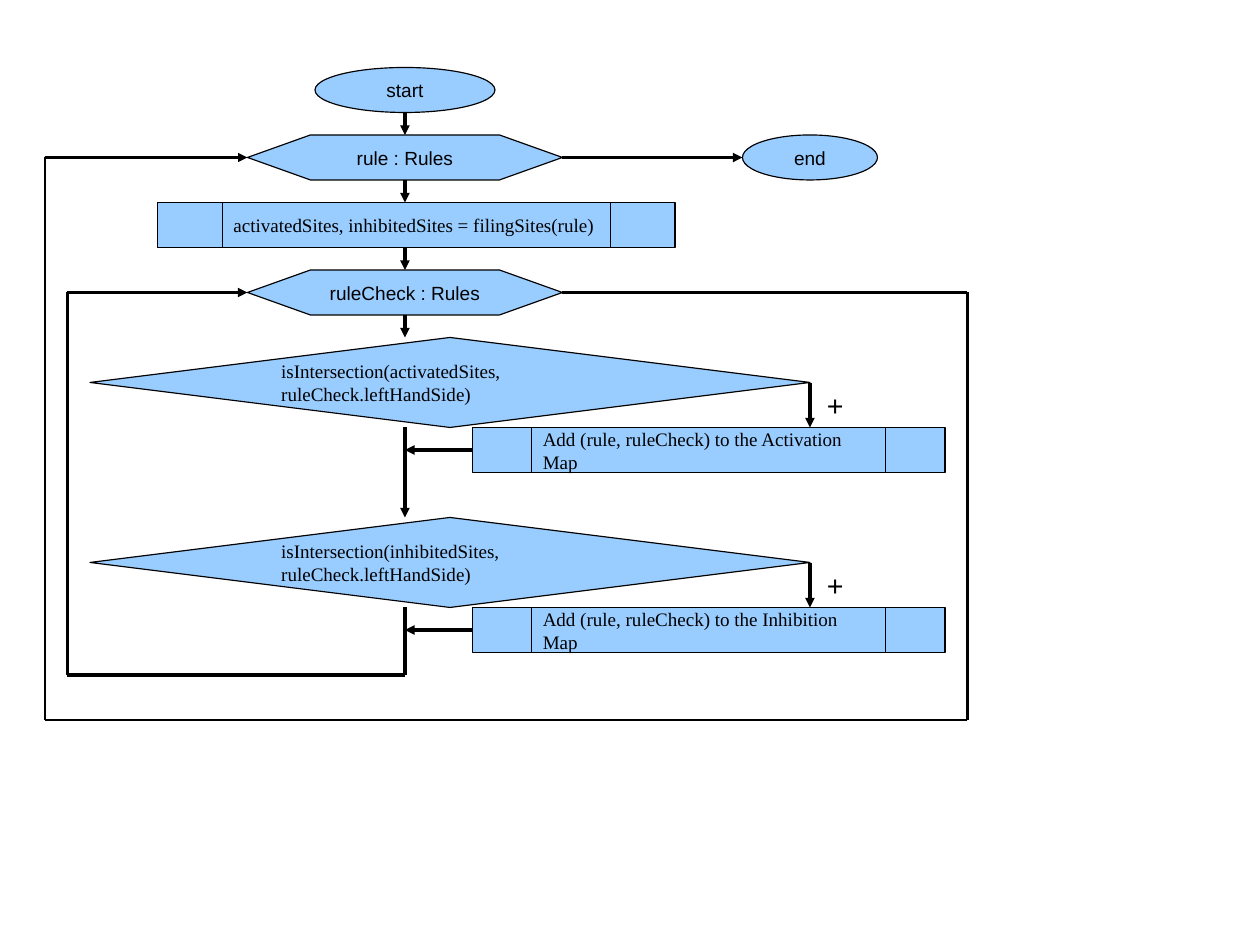
from dataclasses import dataclass
from itertools import pairwise

import lxml.etree
import pptx
import pptx.dml.color
import pptx.enum.shapes
import pptx.enum.text
import pptx.oxml
import pptx.oxml.ns
import pptx.presentation
import pptx.shapes.autoshape
import pptx.slide
import pptx.util

Point = tuple[float, float]
Sites = dict[Point, tuple[pptx.shapes.autoshape.Shape, int]]
Kind = pptx.enum.shapes.MSO_SHAPE
Align = pptx.enum.text.PP_ALIGN


@dataclass(frozen=True)
class Theme:
    grid: float = 14.17
    fill: pptx.dml.color.RGBColor = pptx.dml.color.RGBColor(0x99, 0xCC, 0xFF)
    ink: pptx.dml.color.RGBColor = pptx.dml.color.RGBColor(0, 0, 0)
    control_font: str = "Arial"
    code_font: str = "Times New Roman"
    step_size: float = 12
    branch_size: float = 18
    thin: float = 0
    thick: float = 1.42


@dataclass(frozen=True)
class Step:
    kind: Kind
    left: float
    top: float
    width: float
    height: float
    text: str

    @property
    def is_control(self) -> bool:
        return self.kind in (Kind.OVAL, Kind.FLOWCHART_PREPARATION)

    def side_middles(self) -> list[Point]:
        middle_x, middle_y = self.left + self.width / 2, self.top + self.height / 2
        return [
            (middle_x, self.top),
            (self.left, middle_y),
            (middle_x, self.top + self.height),
            (self.left + self.width, middle_y),
        ]


@dataclass(frozen=True)
class Flow:
    points: tuple[Point, ...]
    weight: float
    arrow: bool = True


THEME = Theme()
AXIS, BRANCH_X = 18, 36
CHECK_TOPS = {15: ("activatedSites", "Activation"), 23: ("inhibitedSites", "Inhibition")}

STEPS = [
    Step(Kind.OVAL, 14, 3, 8, 2, "start"),
    Step(Kind.FLOWCHART_PREPARATION, 11, 6, 14, 2, "rule : Rules"),
    Step(Kind.FLOWCHART_PREDEFINED_PROCESS, 7, 9, 23, 2,
         "activatedSites, inhibitedSites = filingSites(rule)"),
    Step(Kind.FLOWCHART_PREPARATION, 11, 12, 14, 2, "ruleCheck : Rules"),
    Step(Kind.OVAL, 33, 6, 6, 2, "end"),
]
FLOWS = [Flow(((AXIS, top), (AXIS, top + 1)), THEME.thin) for top in (5, 8, 11, 14)]
FLOWS += [
    Flow(((25, 7), (33, 7)), THEME.thin),
    Flow(((AXIS, 19), (AXIS, 23)), THEME.thin),
    Flow(((AXIS, 27), (AXIS, 30), (3, 30), (3, 13), (11, 13)), THEME.thin),
    Flow(((25, 13), (43, 13), (43, 32), (2, 32), (2, 7), (11, 7)), THEME.thick),
]
for check_top, (sites_name, map_name) in CHECK_TOPS.items():
    STEPS += [
        Step(Kind.DIAMOND, 4, check_top, 32, 4,
             f"isIntersection({sites_name}, ruleCheck.leftHandSide)"),
        Step(Kind.FLOWCHART_PREDEFINED_PROCESS, 21, check_top + 4, 21, 2,
             f"Add (rule, ruleCheck) to the {map_name} Map"),
    ]
    FLOWS += [
        Flow(((BRANCH_X, check_top + 2), (BRANCH_X, check_top + 4)), THEME.thin),
        Flow(((21, check_top + 5), (AXIS, check_top + 5)), THEME.thin),
    ]


def on_grid(units: float) -> pptx.util.Length:
    return pptx.util.Pt(units * THEME.grid)


def write(frame: pptx.text.text.TextFrame, text: str, font: str, size: float,
          align: Align) -> None:
    paragraph = frame.paragraphs[0]
    paragraph.text = text
    paragraph.alignment = align
    paragraph.font.name = font
    paragraph.font.size = pptx.util.Pt(size)
    paragraph.font.color.rgb = THEME.ink


def draw_step(slide: pptx.slide.Slide, step: Step, sites: Sites) -> None:
    outline = slide.shapes.add_shape(
        step.kind, *map(on_grid, (step.left, step.top, step.width, step.height)))
    outline.shadow.inherit = False
    outline.fill.solid()
    outline.fill.fore_color.rgb = THEME.fill
    outline.line.color.rgb = THEME.ink
    outline.line.width = pptx.util.Pt(THEME.thin)
    frame = outline.text_frame
    frame.word_wrap = True
    frame.vertical_anchor = pptx.enum.text.MSO_ANCHOR.MIDDLE
    if step.is_control:
        write(frame, step.text, THEME.control_font, THEME.step_size, Align.CENTER)
    else:
        write(frame, step.text, THEME.code_font, THEME.step_size, Align.LEFT)
    if step.kind != Kind.OVAL:
        for side, middle in enumerate(step.side_middles()):
            sites[middle] = (outline, side)


def draw_flow(slide: pptx.slide.Slide, flow: Flow, sites: Sites) -> None:
    for start, end in pairwise(flow.points):
        segment = slide.shapes.add_connector(
            pptx.enum.shapes.MSO_CONNECTOR.STRAIGHT, *map(on_grid, (*start, *end)))
        segment.line.color.rgb = THEME.ink
        segment.line.width = pptx.util.Pt(flow.weight)
        if start in sites:
            segment.begin_connect(*sites[start])
        if end in sites:
            segment.end_connect(*sites[end])
        if flow.arrow and end == flow.points[-1]:
            lxml.etree.SubElement(
                segment.line._get_or_add_ln(), pptx.oxml.ns.qn("a:tailEnd"), type="triangle")
        lxml.etree.SubElement(segment._element.spPr, pptx.oxml.ns.qn("a:effectLst"))


def draw_branch_label(slide: pptx.slide.Slide, top: float) -> None:
    label = slide.shapes.add_textbox(
        on_grid(BRANCH_X) + pptx.util.Pt(3.6), on_grid(top),
        pptx.util.Pt(24.5), pptx.util.Pt(27.4))
    frame = label.text_frame
    frame.word_wrap = False
    frame.auto_size = pptx.enum.text.MSO_AUTO_SIZE.SHAPE_TO_FIT_TEXT
    write(frame, "+", THEME.control_font, THEME.branch_size, Align.LEFT)


def main() -> None:
    deck = pptx.Presentation()
    deck.slide_width, deck.slide_height = on_grid(56), on_grid(42)
    slide = deck.slides.add_slide(deck.slide_layouts[6])
    sites: Sites = {}
    for step in STEPS:
        draw_step(slide, step, sites)
    for flow in FLOWS:
        draw_flow(slide, flow, sites)
    for top in CHECK_TOPS:
        draw_branch_label(slide, top + 2)
    deck.save("out.pptx")


if __name__ == "__main__":
    main()
